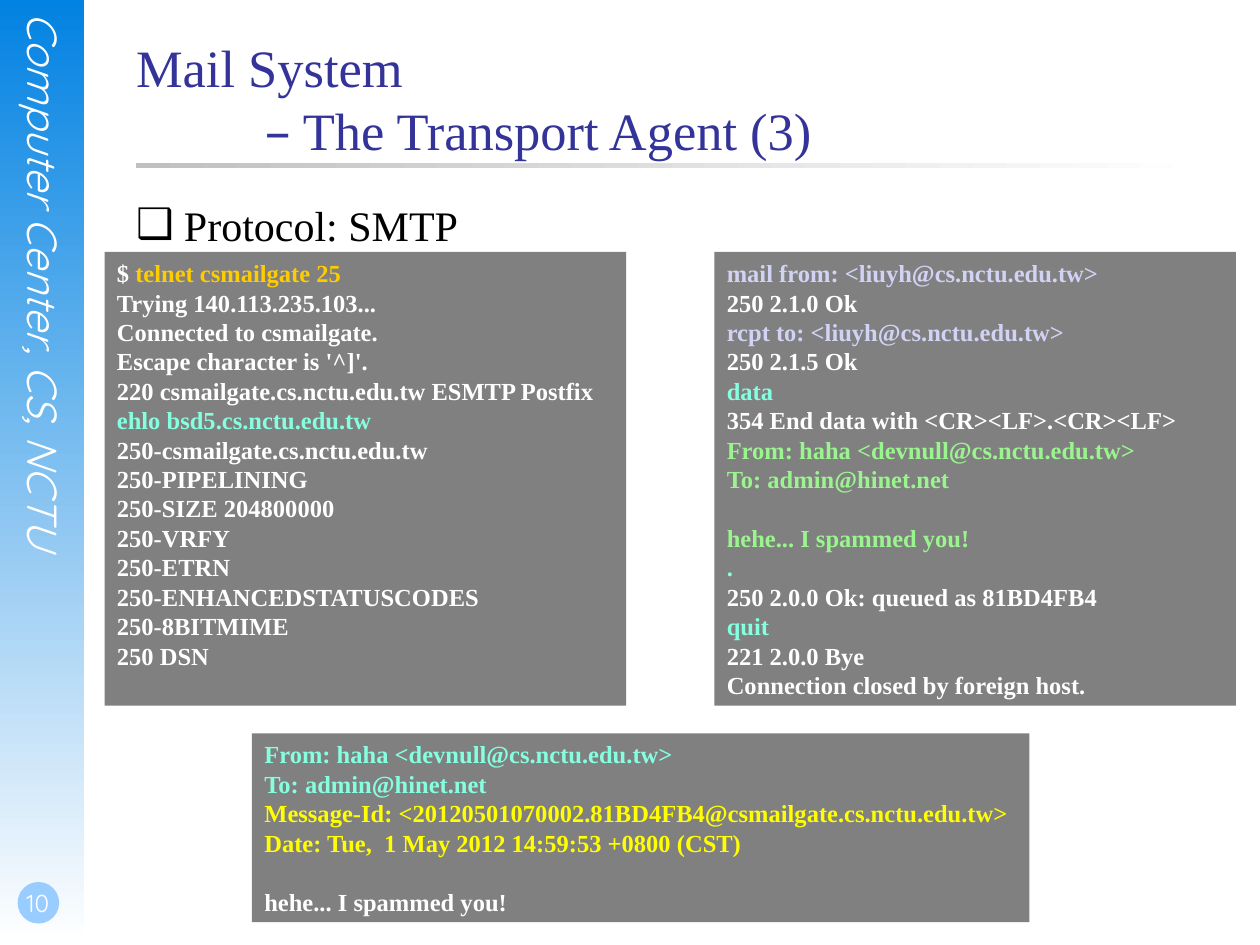
from dataclasses import dataclass

from lxml.etree import SubElement
from pptx import Presentation
from pptx.dml.color import RGBColor
from pptx.enum.shapes import MSO_SHAPE
from pptx.enum.text import MSO_ANCHOR, PP_ALIGN
from pptx.oxml.ns import qn
from pptx.util import Inches, Pt


@dataclass(frozen=True)
class Theme:
    serif: str = "Times New Roman"
    rounded: str = "Quicksand"
    symbol: str = "DejaVu Sans"
    title_size: float = 30
    body_size: float = 24
    number_size: float = 14
    code_size: float = 14
    blank_line: float = 16.8
    title: str = "333399"
    ink: str = "000000"
    white: str = "FFFFFF"
    band: str = "0282E2"
    badge: str = "99CCFF"
    rule: str = "C0C0C0"
    panel: str = "808080"
    command: str = "FFCC00"
    verb: str = "85FFE0"
    envelope: str = "D2D2F4"
    message: str = "9BF58F"
    added: str = "FFFF00"


THEME = Theme()
SIDE_LABEL = "Computer Center, CS, NCTU"
PAGE_NUMBER = "10"
TITLE_FIRST_LINE = "Mail System"
TITLE_SECOND_LINE = "The Transport Agent (3)"
TOPIC = "Protocol: SMTP"

GREETING = [
    [("white", "$ "), ("command", "telnet csmailgate 25")],
    [("white", "Trying 140.113.235.103...")],
    [("white", "Connected to csmailgate.")],
    [("white", "Escape character is '^]'.")],
    [("white", "220 csmailgate.cs.nctu.edu.tw ESMTP Postfix")],
    [("verb", "ehlo bsd5.cs.nctu.edu.tw")],
    [("white", "250-csmailgate.cs.nctu.edu.tw")],
    [("white", "250-PIPELINING")],
    [("white", "250-SIZE 204800000")],
    [("white", "250-VRFY")],
    [("white", "250-ETRN")],
    [("white", "250-ENHANCEDSTATUSCODES")],
    [("white", "250-8BITMIME")],
    [("white", "250 DSN")],
]
DELIVERY = [
    [("envelope", "mail from: <liuyh@cs.nctu.edu.tw>")],
    [("white", "250 2.1.0 Ok")],
    [("envelope", "rcpt to: <liuyh@cs.nctu.edu.tw>")],
    [("white", "250 2.1.5 Ok")],
    [("verb", "data")],
    [("white", "354 End data with <CR><LF>.<CR><LF>")],
    [("message", "From: haha <devnull@cs.nctu.edu.tw>")],
    [("message", "To: admin@hinet.net")],
    [("message", "hehe... I spammed you!")],
    [("verb", ".")],
    [("white", "250 2.0.0 Ok: queued as 81BD4FB4")],
    [("verb", "quit")],
    [("white", "221 2.0.0 Bye")],
    [("white", "Connection closed by foreign host.")],
]
RECEIVED = [
    [("verb", "From: haha <devnull@cs.nctu.edu.tw>")],
    [("verb", "To: admin@hinet.net")],
    [("added", "Message-Id: <20120501070002.81BD4FB4@csmailgate.cs.nctu.edu.tw>")],
    [("added", "Date: Tue,  1 May 2012 14:59:53 +0800 (CST)")],
    [("white", "hehe... I spammed you!")],
]
MESSAGE_BODY = "hehe... I spammed you!"

WIDTH, HEIGHT = 10, 7.5
BAND_WIDTH = WIDTH / 15
CONTENT_LEFT, CONTENT_WIDTH = 1.08, 8.5
PANEL_TOP, PANEL_WIDTH, PANEL_HEIGHT = 2, 4.14, 3.6
PANELS = [
    (GREETING, (0.83, PANEL_TOP, PANEL_WIDTH, PANEL_HEIGHT)),
    (DELIVERY, (5.67, PANEL_TOP, PANEL_WIDTH, PANEL_HEIGHT)),
    (RECEIVED, (2, 5.82, 6.17, 1.5)),
]


def color(value):
    return RGBColor.from_string(value)


def style(span, size, value, face=THEME.serif, bold=False, italic=False):
    span.font.size = Pt(size)
    span.font.name = face
    span.font.color.rgb = color(value)
    span.font.bold = bold
    span.font.italic = italic


def set_margins(frame, left=0, top=0, right=0, bottom=0):
    frame.margin_left, frame.margin_top = Inches(left), Inches(top)
    frame.margin_right, frame.margin_bottom = Inches(right), Inches(bottom)
    frame.word_wrap = True


def add_block(page, kind, area, *fills, angle=0):
    block = page.shapes.add_shape(kind, *map(Inches, area))
    block.shadow.inherit = False
    block.line.fill.background()
    if len(fills) == 1:
        block.fill.solid()
        block.fill.fore_color.rgb = color(fills[0])
    else:
        block.fill.gradient()
        block.fill.gradient_angle = angle
        for stop, value in zip(block.fill.gradient_stops, fills):
            stop.color.rgb = color(value)
    return block


def add_label(page, area, text, size, italic=False):
    box = page.shapes.add_textbox(*map(Inches, area))
    set_margins(box.text_frame)
    box.text_frame.text = text
    style(box.text_frame.paragraphs[0].runs[0], size, THEME.white, THEME.rounded, italic=italic)
    return box.text_frame


def add_panel(page, lines, area):
    frame = add_block(page, MSO_SHAPE.RECTANGLE, area, THEME.panel).text_frame
    set_margins(frame, 0.1, 0.05, 0.1, 0.05)
    frame.vertical_anchor = MSO_ANCHOR.TOP
    for index, line in enumerate(lines):
        para = frame.add_paragraph() if index else frame.paragraphs[0]
        para.alignment = PP_ALIGN.LEFT
        if line[0][1] == MESSAGE_BODY:
            para.space_before = Pt(THEME.blank_line)
        for role, text in line:
            span = para.add_run()
            span.text = text
            style(span, THEME.code_size, getattr(THEME, role), bold=True)


def place(page, holder, top, height):
    page.shapes._spTree.append(holder._element)
    holder.left, holder.top = Inches(CONTENT_LEFT), Inches(top)
    holder.width, holder.height = Inches(CONTENT_WIDTH), Inches(height)
    set_margins(holder.text_frame)
    holder.text_frame.vertical_anchor = MSO_ANCHOR.TOP
    para = holder.text_frame.paragraphs[0]
    para.alignment = PP_ALIGN.LEFT
    para.space_before = Pt(0)
    return para


def add_sidebar(page):
    add_block(page, MSO_SHAPE.RECTANGLE, (0, 0, BAND_WIDTH, HEIGHT),
              THEME.band, THEME.white, angle=270)
    side = add_label(page, (0.15, 0.1, 0.4, 5.11), SIDE_LABEL, THEME.body_size, italic=True)
    side._txBody.bodyPr.set("vert", "eaVert")
    add_block(page, MSO_SHAPE.OVAL, (0.14, 7, 0.33, 0.33), THEME.badge)
    number = add_label(page, (0, 6.83, 0.58, 0.5), PAGE_NUMBER, THEME.number_size)
    set_margins(number, left=0.02, bottom=0.05)
    number.vertical_anchor = MSO_ANCHOR.BOTTOM
    number.paragraphs[0].alignment = PP_ALIGN.CENTER


def fill_title(page):
    para = place(page, page.shapes.title, 0.28, 1.25)
    stops = SubElement(para._p.get_or_add_pPr(), qn("a:tabLst"))
    SubElement(stops, qn("a:tab"), pos=str(Inches(1.02)), algn="l")
    para.text = f"{TITLE_FIRST_LINE}\v\t"
    for text in ("–", f" {TITLE_SECOND_LINE}"):
        para.add_run().text = text
    for span in para.runs:
        face = THEME.symbol if span.text == "–" else THEME.serif
        style(span, THEME.title_size, THEME.title, face)


def fill_body(page):
    para = place(page, page.placeholders[1], 1.58, 5.08)
    props = para._p.get_or_add_pPr()
    props.set("marL", str(Inches(0.38)))
    props.set("indent", str(-Inches(0.38)))
    tint = SubElement(props, qn("a:buClr"))
    SubElement(tint, qn("a:srgbClr"), val=THEME.ink)
    SubElement(props, qn("a:buFont"), typeface=THEME.symbol)
    SubElement(props, qn("a:buChar"), char="❑")
    para.text = TOPIC
    style(para.runs[0], THEME.body_size, THEME.ink)


def main():
    deck = Presentation()
    deck.slide_width, deck.slide_height = Inches(WIDTH), Inches(HEIGHT)
    page = deck.slides.add_slide(deck.slide_layouts[1])
    add_sidebar(page)
    add_block(page, MSO_SHAPE.RECTANGLE, (CONTENT_LEFT, 1.29, CONTENT_WIDTH, 0.04),
              THEME.rule, THEME.white)
    fill_title(page)
    fill_body(page)
    for lines, area in PANELS:
        add_panel(page, lines, area)
    deck.save("out.pptx")


if __name__ == "__main__":
    main()
